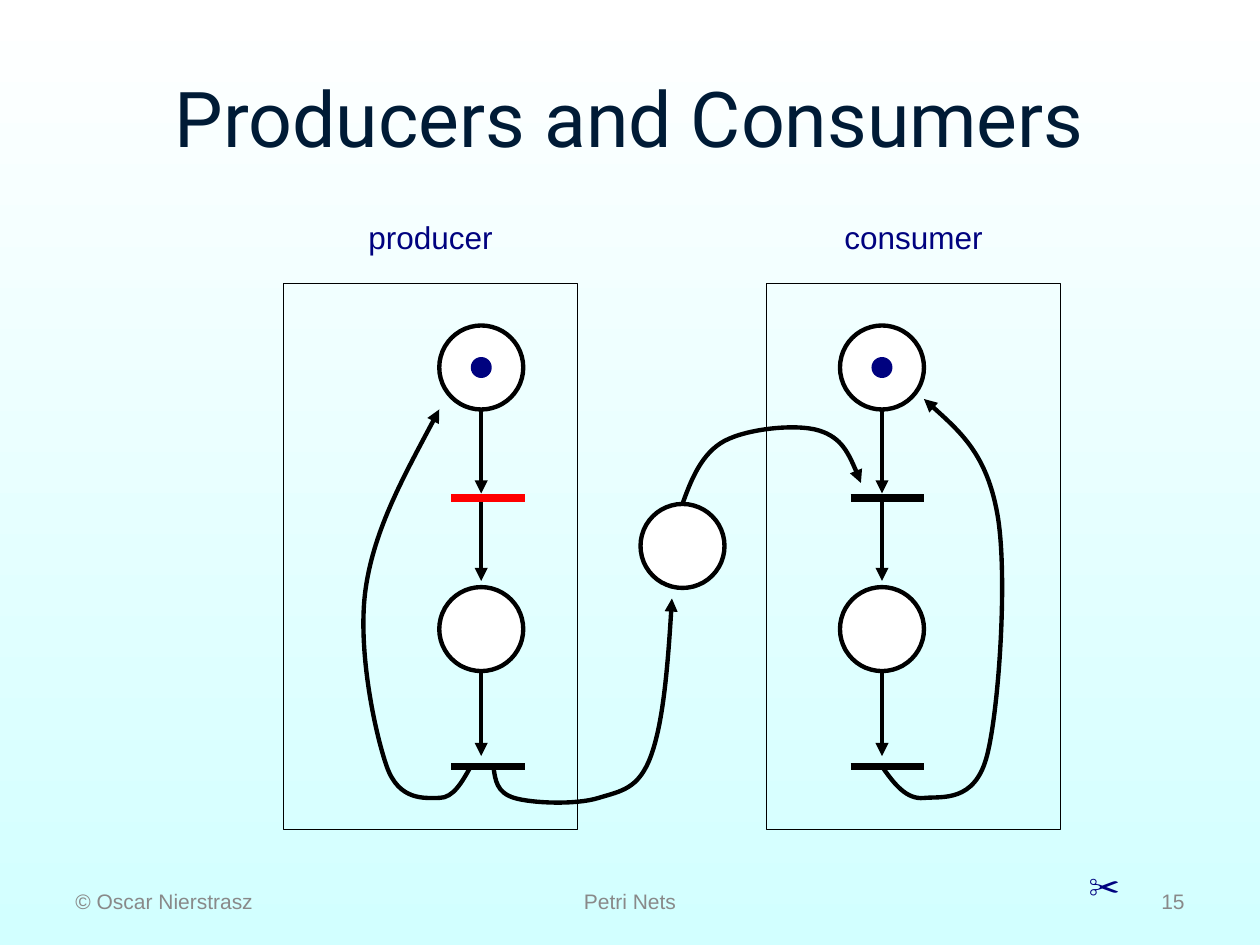
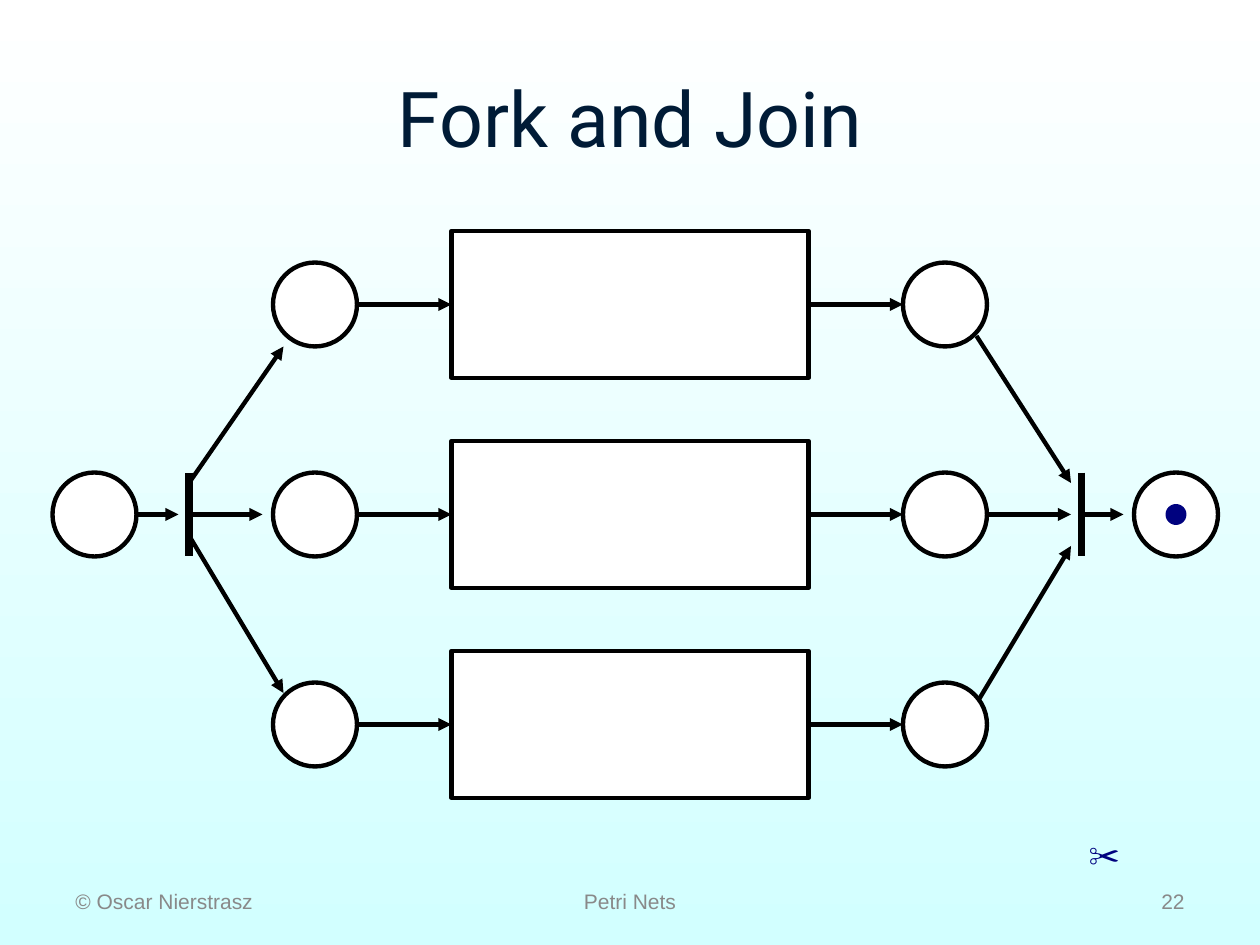
from dataclasses import dataclass
from itertools import product
from typing import Any, NamedTuple, Optional

import lxml.etree
import pptx
import pptx.dml.color
import pptx.enum.shapes
import pptx.enum.text
import pptx.oxml.ns
import pptx.util

Pt = pptx.util.Pt
qn = pptx.oxml.ns.qn
ALIGN = pptx.enum.text.PP_ALIGN
ANCHOR = pptx.enum.text.MSO_ANCHOR
SHAPE = pptx.enum.shapes.MSO_SHAPE

COLORS = {
    "sky_top": "FFFFFF", "sky_bottom": "D2FFFF", "title": "001B36", "footer": "898989",
    "token": "00027F", "ink": "000000", "place": "FFFFFF", "enabled": "FF0000",
}
TITLE_FONT = {"name": "Roboto", "size": Pt(44), "bold": False}
LABEL_FONT = {"name": "Arial", "size": Pt(18)}
FOOTER_FONT = {"name": "Arial", "size": Pt(12)}
ARC_WIDTH, BAR_WIDTH, FRAME_WIDTH = 2.5, 4.5, 1
PLACE_SIZE, TOKEN_SIZE = 48, 12
RADIUS = PLACE_SIZE / 2


class Point(NamedTuple):
    x: float
    y: float


class Box(NamedTuple):
    left: float
    top: float
    width: float
    height: float


@dataclass
class Place:
    center: Point
    marked: bool = False


@dataclass
class Arc:
    start: Point
    end: Point
    color: str = "ink"
    width: float = ARC_WIDTH
    arrow: bool = True


@dataclass
class Label:
    text: str
    box: Box
    font: dict[str, Any]
    color: str
    align: Any = ALIGN.LEFT
    anchor: Any = ANCHOR.TOP
    wrap: bool = False


@dataclass
class Process:
    name: str
    frame_left: float
    center_x: float
    bar_left: float
    first_bar_color: str


# Shared drawing functions
def rgb(name: str) -> pptx.dml.color.RGBColor:
    return pptx.dml.color.RGBColor.from_string(COLORS[name])


def apply_format(target: Any, values: dict[str, Any]) -> None:
    for attribute, value in values.items():
        setattr(target, attribute, value)


def in_points(box: Box) -> list[int]:
    return [Pt(length) for length in box]


def square_at(center: Point, size: float) -> Box:
    return Box(center.x - size / 2, center.y - size / 2, size, size)


def style_line(item: Any, color: str, width: float, arrow: bool = False) -> None:
    item.line.color.rgb = rgb(color)
    item.line.width = Pt(width)
    if arrow:
        outline = item.element.spPr.find(qn("a:ln"))
        lxml.etree.SubElement(outline, qn("a:tailEnd"), type="triangle")


def draw_shape(slide: Any, kind: Any, box: Box, fill: Optional[str], line_width: float) -> Any:
    shape = slide.shapes.add_shape(kind, *in_points(box))
    shape.shadow.inherit = False
    if fill:
        shape.fill.solid()
        shape.fill.fore_color.rgb = rgb(fill)
    else:
        shape.fill.background()
    if line_width:
        style_line(shape, "ink", line_width)
    else:
        shape.line.fill.background()
    return shape


def draw_place(slide: Any, place: Place) -> None:
    draw_shape(slide, SHAPE.OVAL, square_at(place.center, PLACE_SIZE), "place", ARC_WIDTH)
    if place.marked:
        draw_shape(slide, SHAPE.OVAL, square_at(place.center, TOKEN_SIZE), "token", 0)


def draw_arc(slide: Any, arc: Arc) -> Any:
    connector = slide.shapes.add_connector(
        pptx.enum.shapes.MSO_CONNECTOR.STRAIGHT, *(Pt(v) for v in (*arc.start, *arc.end)))
    style_line(connector, arc.color, arc.width, arc.arrow)
    lxml.etree.SubElement(connector.element.spPr, qn("a:effectLst"))
    return connector


def draw_curve(slide: Any, points: list[tuple[float, float]]) -> None:
    """Draw Bézier pieces: a start point, then two controls and an end for each."""
    builder = slide.shapes.build_freeform(*points[0], scale=Pt(1))
    builder.add_line_segments(points[1:], close=False)
    curve = builder.convert_to_shape()
    curve.shadow.inherit = False
    curve.fill.background()
    style_line(curve, "ink", ARC_WIDTH, arrow=True)
    outline = curve.element.find(".//" + qn("a:path"))
    steps = outline.findall(qn("a:lnTo"))
    for first in range(0, len(steps), 3):
        piece = lxml.etree.SubElement(outline, qn("a:cubicBezTo"))
        for step in steps[first:first + 3]:
            piece.append(step[0])
            outline.remove(step)


def fill_text(holder: Any, label: Label) -> None:
    frame = holder.text_frame
    frame.text = label.text
    apply_format(frame, {"word_wrap": label.wrap, "vertical_anchor": label.anchor})
    paragraph = frame.paragraphs[0]
    paragraph.alignment = label.align
    apply_format(paragraph.font, label.font)
    paragraph.font.color.rgb = rgb(label.color)


def draw_label(slide: Any, label: Label) -> None:
    fill_text(slide.shapes.add_textbox(*in_points(label.box)), label)


# Parts that both slides share
def paint_background(deck: Any) -> None:
    fill = deck.slide_master.background.fill
    fill.gradient()
    fill.gradient_angle = 270
    for stop, color in zip(fill.gradient_stops, ("sky_top", "sky_bottom")):
        stop.color.rgb = rgb(color)


def start_slide(deck: Any, title: str, number: int, scissors_top: float) -> Any:
    slide = deck.slides.add_slide(deck.slide_layouts.get_by_name("Title Only"))
    heading = Label(title, Box(36, 21.6, 648, 90), TITLE_FONT, "title",
                    ALIGN.CENTER, ANCHOR.MIDDLE, True)
    edges = dict(zip(("left", "top", "width", "height"), in_points(heading.box)))
    apply_format(slide.shapes.title, edges)
    fill_text(slide.shapes.title, heading)
    footers = (
        ("© Oscar Nierstrasz", 36, 168, ALIGN.LEFT),
        ("Petri Nets", 246, 228, ALIGN.CENTER),
        (str(number), 516, 168, ALIGN.RIGHT),
    )
    for text, left, width, align in footers:
        draw_label(slide, Label(text, Box(left, 500.5, width, 28.75), FOOTER_FONT,
                                "footer", align, ANCHOR.MIDDLE, True))
    draw_label(slide, Label("✂", Box(615, scissors_top, 34, 29), LABEL_FONT, "token"))
    return slide


# Slide: producers and consumers
def build_producers_consumers(deck: Any) -> None:
    slide = start_slide(deck, "Producers and Consumers", 15, 492)
    frame_top, frame_width, frame_height = 162, 168, 312
    place_ys, bar_ys, bar_length = (210, 359.5), (284.4, 438), 42
    processes = (
        Process("producer", 162, 275, 258, "enabled"),
        Process("consumer", 438, 504, 486, "ink"),
    )
    for process in processes:
        frame = Box(process.frame_left, frame_top, frame_width, frame_height)
        draw_shape(slide, SHAPE.RECTANGLE, frame, None, FRAME_WIDTH)
        draw_label(slide, Label(process.name, Box(frame.left, 121, frame_width, 29),
                                LABEL_FONT, "token", ALIGN.CENTER))
        x = process.center_x
        arc_spans = ((place_ys[0] + RADIUS, 282), (bar_ys[0], 332),
                     (place_ys[1] + RADIUS, 432))
        for start_y, end_y in arc_spans:
            draw_arc(slide, Arc(Point(x, start_y), Point(x, end_y)))
        for y, marked in zip(place_ys, (True, False)):
            draw_place(slide, Place(Point(x, y), marked))
        for y, color in zip(bar_ys, (process.first_bar_color, "ink")):
            draw_arc(slide, Arc(Point(process.bar_left, y), Point(process.bar_left + bar_length, y),
                                color, BAR_WIDTH, False))

    # Buffer between the two processes
    draw_place(slide, Place(Point(390, 312)))
    producer_loop = [(269, 438), (264, 447), (259, 456), (251, 456),
                     (243, 456), (228, 458), (221, 438),
                     (214, 418), (204, 370), (209, 336),
                     (214, 302), (233, 268), (251, 234)]
    consumer_loop = [(504, 438), (511, 448), (518, 457), (528, 456),
                     (538, 455), (557, 459), (564, 432),
                     (571, 405), (576, 328), (570, 294),
                     (564, 260), (546, 244), (528, 228)]
    into_buffer = [(282, 438), (283, 446), (284, 453), (294, 456),
                   (304, 459), (329, 460), (342, 456),
                   (355, 452), (365, 451), (372, 432),
                   (379, 413), (382, 377), (384, 342)]
    out_of_buffer = [(390, 288), (395, 274), (401, 259), (414, 252),
                     (427, 245), (455, 242), (468, 246),
                     (481, 250), (487, 263), (492, 276)]
    for curve in (producer_loop, consumer_loop, into_buffer, out_of_buffer):
        draw_curve(slide, curve)


# Slide: fork and join
def build_fork_join(deck: Any) -> None:
    slide = start_slide(deck, "Fork and Join", 22, 474)
    row_ys = [174 + 120 * row for row in range(3)]
    middle_y = row_ys[1]
    source_x, fork_x, before_x, after_x, join_x, sink_x = 54, 108, 180, 540, 618, 672
    task_left, task_width, task_height = 258, 204, 84

    # Arcs around the fork and the join
    arcs = (
        Arc(Point(source_x + RADIUS, middle_y), Point(102, middle_y)),
        Arc(Point(fork_x, 276), Point(162, 198)),
        Arc(Point(fork_x, middle_y), Point(150, middle_y)),
        Arc(Point(fork_x, 306), Point(162, 396)),
        Arc(Point(558, 192), Point(612, 276)),
        Arc(Point(after_x + RADIUS, middle_y), Point(612, middle_y)),
        Arc(Point(558, 402), Point(612, 312)),
        Arc(Point(join_x, middle_y), Point(642, middle_y)),
    )
    for arc in arcs:
        draw_arc(slide, arc)
    for x in (fork_x, join_x):
        draw_arc(slide, Arc(Point(x, middle_y - RADIUS), Point(x, middle_y + RADIUS),
                            width=BAR_WIDTH, arrow=False))

    # Places
    draw_place(slide, Place(Point(source_x, middle_y)))
    draw_place(slide, Place(Point(sink_x, middle_y), True))
    for x, y in product((before_x, after_x), row_ys):
        draw_place(slide, Place(Point(x, y)))

    # Parallel tasks
    for y in row_ys:
        task = draw_shape(slide, SHAPE.RECTANGLE,
                          Box(task_left, y - task_height / 2, task_width, task_height),
                          "place", ARC_WIDTH)
        entry = Arc(Point(before_x + RADIUS, y), Point(task_left, y))
        leave = Arc(Point(task_left + task_width, y), Point(after_x - RADIUS, y))
        draw_arc(slide, entry).end_connect(task, 1)
        draw_arc(slide, leave).begin_connect(task, 3)


def main() -> None:
    deck = pptx.Presentation()
    apply_format(deck, {"slide_width": Pt(720), "slide_height": Pt(540)})
    paint_background(deck)
    build_producers_consumers(deck)
    build_fork_join(deck)
    deck.save("out.pptx")


if __name__ == "__main__":
    main()
